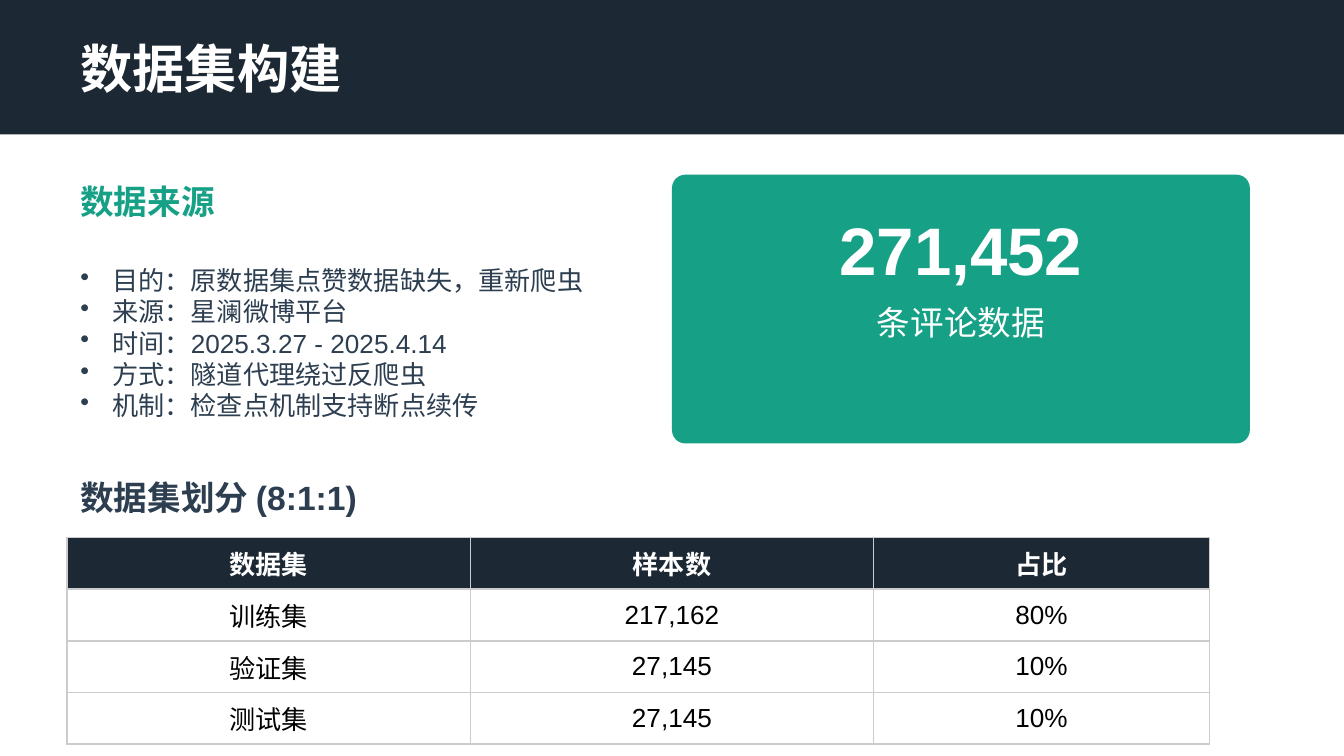
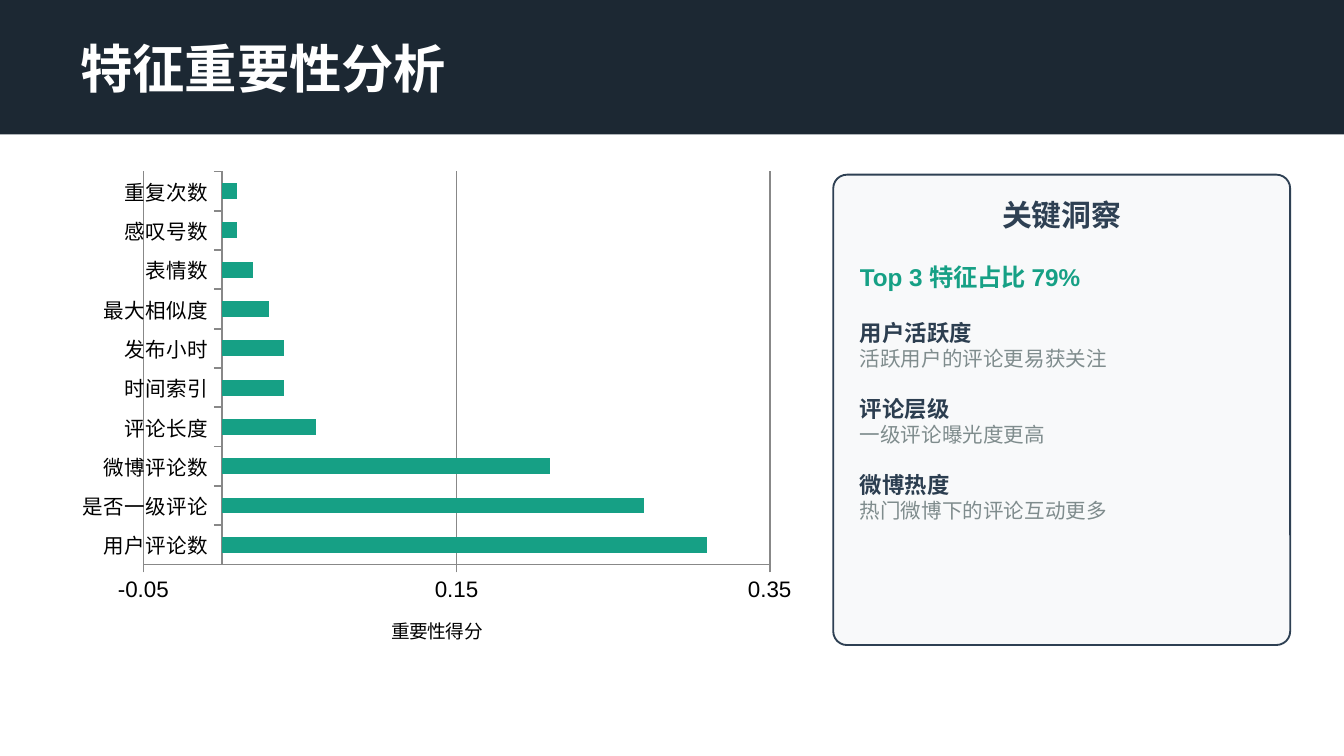
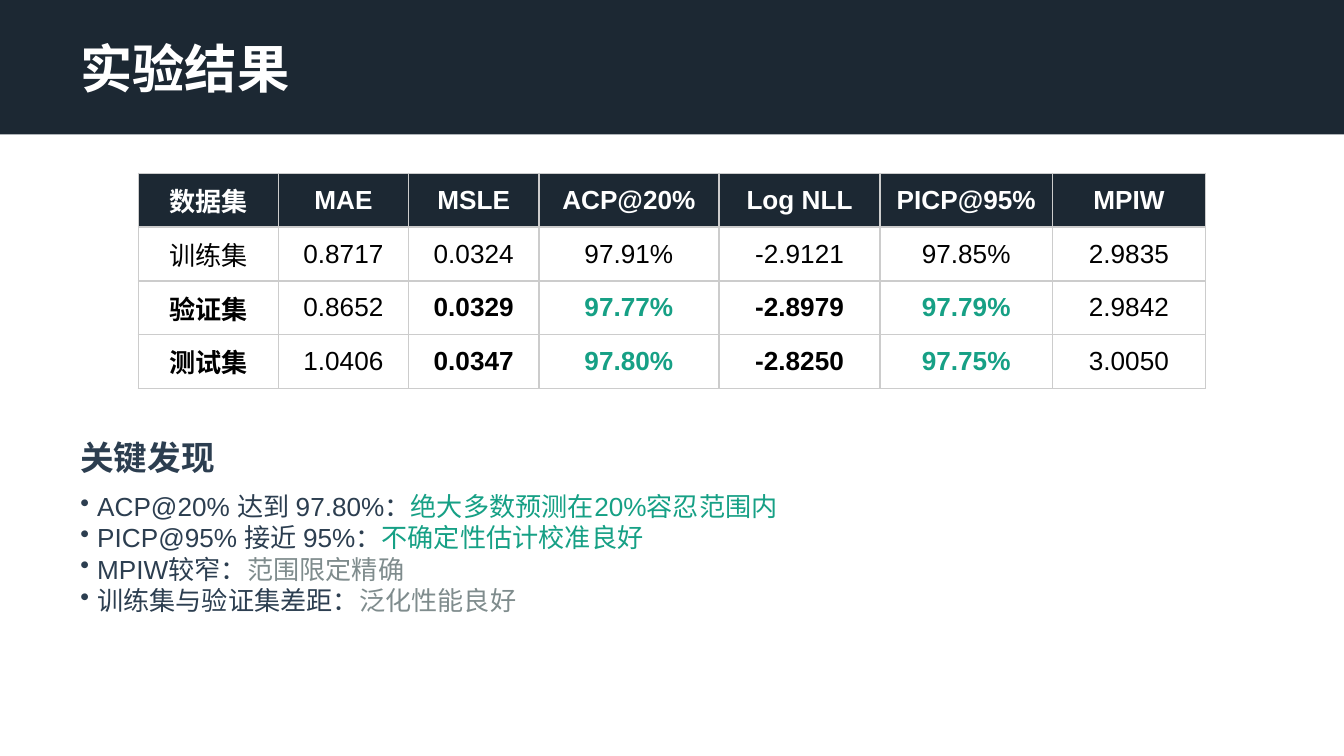
from lxml import etree
from pptx import Presentation
from pptx.chart.data import CategoryChartData
from pptx.dml.color import RGBColor
from pptx.enum.chart import XL_CHART_TYPE, XL_TICK_LABEL_POSITION, XL_TICK_MARK
from pptx.enum.shapes import MSO_SHAPE
from pptx.enum.text import MSO_ANCHOR, MSO_AUTO_SIZE, PP_ALIGN
from pptx.oxml.ns import qn
from pptx.util import Pt

LEFT, CENTER = PP_ALIGN.LEFT, PP_ALIGN.CENTER
TOP, MIDDLE = MSO_ANCHOR.TOP, MSO_ANCHOR.MIDDLE
RECTANGLE, ROUNDED = MSO_SHAPE.RECTANGLE, MSO_SHAPE.ROUNDED_RECTANGLE
BAR, LOW, OUTSIDE = XL_CHART_TYPE.BAR_CLUSTERED, XL_TICK_LABEL_POSITION.LOW, XL_TICK_MARK.OUTSIDE

FONT = "Arial"
HEX = {
    "band": "1C2833", "green": "16A085", "ink": "2C3E50", "slate": "2E4053",
    "grey": "7F8C8D", "panel": "F8F9FA", "border": "CCCCCC", "axis": "888888",
    "white": "FFFFFF", "black": "000000",
}
COLOURS = {name: RGBColor.from_string(value) for name, value in HEX.items()}


def fill_text(frame, paragraphs, anchor=MIDDLE):
    """Write paragraphs, each (runs, format); a run is (text, size, colour, bold)."""
    for name, value in {"word_wrap": True, "auto_size": MSO_AUTO_SIZE.NONE,
                        "vertical_anchor": anchor}.items():
        setattr(frame, name, value)
    for index, (runs, layout) in enumerate(paragraphs):
        paragraph = frame.add_paragraph() if index else frame.paragraphs[0]
        layout = {"alignment": LEFT, **layout}
        indent = layout.pop("bullet", None)
        for name, value in layout.items():
            setattr(paragraph, name, value)
        if indent:
            properties = paragraph._p.get_or_add_pPr()
            properties.set("marL", str(Pt(indent)))
            properties.set("indent", str(-Pt(indent)))
            etree.SubElement(properties, qn("a:buChar"), char="•")
        for text, size, colour, bold in runs:
            run = paragraph.add_run()
            run.text = text
            for name, value in {"name": FONT, "size": Pt(size), "bold": bold}.items():
                setattr(run.font, name, value)
            run.font.color.rgb = COLOURS[colour]


def add_grid(slide, left, top, widths, row_height, rows, emphasis):
    """Add a bordered table; emphasis maps (row, column) to a bold text colour."""
    table = slide.shapes.add_table(len(rows), len(widths), Pt(left), Pt(top),
                                   Pt(sum(widths)), Pt(row_height * len(rows))).table
    table.horz_banding = False
    for column, width in zip(table.columns, widths):
        column.width = Pt(width)
    for row_index, values in enumerate(rows):
        table.rows[row_index].height = Pt(row_height)
        for column_index, value in enumerate(values):
            cell = table.cell(row_index, column_index)
            properties = cell._tc.get_or_add_tcPr()
            for side in ("lnL", "lnR", "lnT", "lnB"):
                line = etree.SubElement(properties, qn("a:" + side), w=str(Pt(1)))
                solid = etree.SubElement(line, qn("a:solidFill"))
                etree.SubElement(solid, qn("a:srgbClr"), val=HEX["border"])
            colour = emphasis.get((row_index, column_index))
            if row_index == 0:
                cell.fill.solid()
                cell.fill.fore_color.rgb = COLOURS["band"]
                colour = "white"
            else:
                cell.fill.background()
            cell.vertical_anchor = MIDDLE
            paragraph = cell.text_frame.paragraphs[0]
            paragraph.alignment = CENTER
            run = paragraph.add_run()
            run.text = value
            for name, setting in {"name": FONT, "size": Pt(14), "bold": bool(colour)}.items():
                setattr(run.font, name, setting)
            run.font.color.rgb = COLOURS[colour or "black"]


presentation = Presentation()
presentation.slide_width, presentation.slide_height = Pt(720), Pt(405)

# Slides with title band
slides = []
for title in ("数据集构建", "特征重要性分析", "实验结果"):
    slide = presentation.slides.add_slide(presentation.slide_layouts[5])
    band = slide.shapes.add_shape(RECTANGLE, 0, 0, presentation.slide_width, Pt(72))
    band.shadow.inherit = False
    band.fill.solid()
    band.fill.fore_color.rgb = COLOURS["band"]
    band.line.fill.background()
    heading = slide.shapes.title
    slide.shapes._spTree.append(heading._element)  # in front of the band
    for name, value in {"left": 36, "top": 18, "width": 648, "height": 36}.items():
        setattr(heading, name, Pt(value))
    fill_text(heading.text_frame, [([(title, 28, "white", True)], {})])
    slides.append(slide)
data_slide, feature_slide, result_slide = slides

# Rounded cards
for slide, box, radius, fill, outline in (
    (data_slide, (360, 93.6, 309.6, 144), 0.05, "green", None),
    (feature_slide, (446.4, 93.6, 244.8, 252), 0.03, "panel", "slate"),
):
    card = slide.shapes.add_shape(ROUNDED, *map(Pt, box))
    card.shadow.inherit = False
    card.adjustments[0] = radius
    card.fill.solid()
    card.fill.fore_color.rgb = COLOURS[fill]
    if outline:
        card.line.color.rgb = COLOURS[outline]
        card.line.width = Pt(1)
    else:
        card.line.fill.background()

# Single-line headings and figures
for slide, box, text, size, colour, bold, alignment in (
    (data_slide, (36, 93.6, 309.6, 28.8), "数据来源", 18, "green", True, LEFT),
    (data_slide, (360, 108, 309.6, 50.4), "271,452", 36, "white", True, CENTER),
    (data_slide, (360, 158.4, 309.6, 28.8), "条评论数据", 18, "white", False, CENTER),
    (data_slide, (36, 252, 648, 28.8), "数据集划分 (8:1:1)", 18, "ink", True, LEFT),
    (feature_slide, (446.4, 100.8, 244.8, 28.8), "关键洞察", 16, "slate", True, CENTER),
    (result_slide, (36, 230.4, 648, 28.8), "关键发现", 18, "ink", True, LEFT),
):
    frame = slide.shapes.add_textbox(*map(Pt, box)).text_frame
    fill_text(frame, [([(text, size, colour, bold)], {"alignment": alignment})])

# Data source list
sources = [
    "目的：原数据集点赞数据缺失，重新爬虫",
    "来源：星澜微博平台",
    "时间：2025.3.27 - 2025.4.14",
    "方式：隧道代理绕过反爬虫",
    "机制：检查点机制支持断点续传",
]
frame = data_slide.shapes.add_textbox(Pt(36), Pt(129.6), Pt(309.6), Pt(108)).text_frame
fill_text(frame, [([(text, 14, "ink", False)], {"bullet": 17}) for text in sources])

# Dataset split table
add_grid(data_slide, 36, 288, [216, 216, 180], 21.6, [
    ["数据集", "样本数", "占比"],
    ["训练集", "217,162", "80%"],
    ["验证集", "27,145", "10%"],
    ["测试集", "27,145", "10%"],
], {})

# Feature importance chart
importance = {
    "用户评论数": 0.31, "是否一级评论": 0.27, "微博评论数": 0.21, "评论长度": 0.06,
    "时间索引": 0.04, "发布小时": 0.04, "最大相似度": 0.03, "表情数": 0.02,
    "感叹号数": 0.01, "重复次数": 0.01,
}
chart_data = CategoryChartData()
chart_data.categories = list(importance)
chart_data.add_series("Series 1", list(importance.values()))
chart = feature_slide.shapes.add_chart(BAR, Pt(36), Pt(86.4), Pt(396), Pt(273.6), chart_data).chart
chart.has_legend = chart.has_title = False
chart.font.name, chart.font.size = "Calibri", Pt(10)
chart.font.color.rgb = COLOURS["black"]
plot = chart.plots[0]
plot.gap_width, plot.vary_by_categories = 150, False
bars = plot.series[0].format.fill
bars.solid()
bars.fore_color.rgb = COLOURS["green"]

category_axis, value_axis = chart.category_axis, chart.value_axis
for axis, size in ((category_axis, 11), (value_axis, 12)):
    axis.major_tick_mark = OUTSIDE
    axis.tick_labels.font.name, axis.tick_labels.font.size = FONT, Pt(size)
    axis.tick_labels.font.color.rgb = COLOURS["black"]
category_axis.has_major_gridlines = False
for name, value in {"minimum_scale": -0.05, "maximum_scale": 0.35, "major_unit": 0.2,
                    "has_major_gridlines": True, "tick_label_position": LOW}.items():
    setattr(value_axis, name, value)
value_axis.tick_labels.number_format = "General"
value_axis.tick_labels.number_format_is_linked = False
for part in (category_axis, value_axis, value_axis.major_gridlines):
    part.format.line.color.rgb = COLOURS["axis"]
    part.format.line.width = Pt(1)
axis_run = value_axis.axis_title.text_frame.paragraphs[0].add_run()
axis_run.text = "重要性得分"
for name, value in {"name": FONT, "size": Pt(10), "bold": False}.items():
    setattr(axis_run.font, name, value)
axis_run.font.color.rgb = COLOURS["black"]

# Key insights
insights = [([("Top 3 特征占比 79%", 13, "green", True)], {"space_after": Pt(2)})]
for name, reason in (
    ("用户活跃度", "活跃用户的评论更易获关注"),
    ("评论层级", "一级评论曝光度更高"),
    ("微博热度", "热门微博下的评论互动更多"),
):
    insights.append(([(name, 12, "ink", True)], {"space_before": Pt(13)}))
    insights.append(([(reason, 11, "grey", False)], {}))
frame = feature_slide.shapes.add_textbox(Pt(453.6), Pt(136.8), Pt(230.4), Pt(201.6)).text_frame
fill_text(frame, insights, TOP)

# Results table
emphasis = {(row, column): colour for row in (2, 3) for column, colour in
            {0: "black", 2: "black", 3: "green", 4: "black", 5: "green"}.items()}
add_grid(result_slide, 74.2, 92.9, [74.9, 69.8, 69.8, 96.5, 86.4, 92.2, 82.1], 28.8, [
    ["数据集", "MAE", "MSLE", "ACP@20%", "Log NLL", "PICP@95%", "MPIW"],
    ["训练集", "0.8717", "0.0324", "97.91%", "-2.9121", "97.85%", "2.9835"],
    ["验证集", "0.8652", "0.0329", "97.77%", "-2.8979", "97.79%", "2.9842"],
    ["测试集", "1.0406", "0.0347", "97.80%", "-2.8250", "97.75%", "3.0050"],
], emphasis)

# Key findings
findings = [
    ("ACP@20% 达到 97.80%：", "绝大多数预测在20%容忍范围内", "green"),
    ("PICP@95% 接近 95%：", "不确定性估计校准良好", "green"),
    ("MPIW较窄：", "范围限定精确", "grey"),
    ("训练集与验证集差距：", "泛化性能良好", "grey"),
]
frame = result_slide.shapes.add_textbox(Pt(36), Pt(259.2), Pt(648), Pt(129.6)).text_frame
fill_text(frame, [([(fact, 14, "ink", False), (meaning, 14, colour, False)], {"bullet": 9})
                  for fact, meaning, colour in findings], TOP)

presentation.save("out.pptx")
